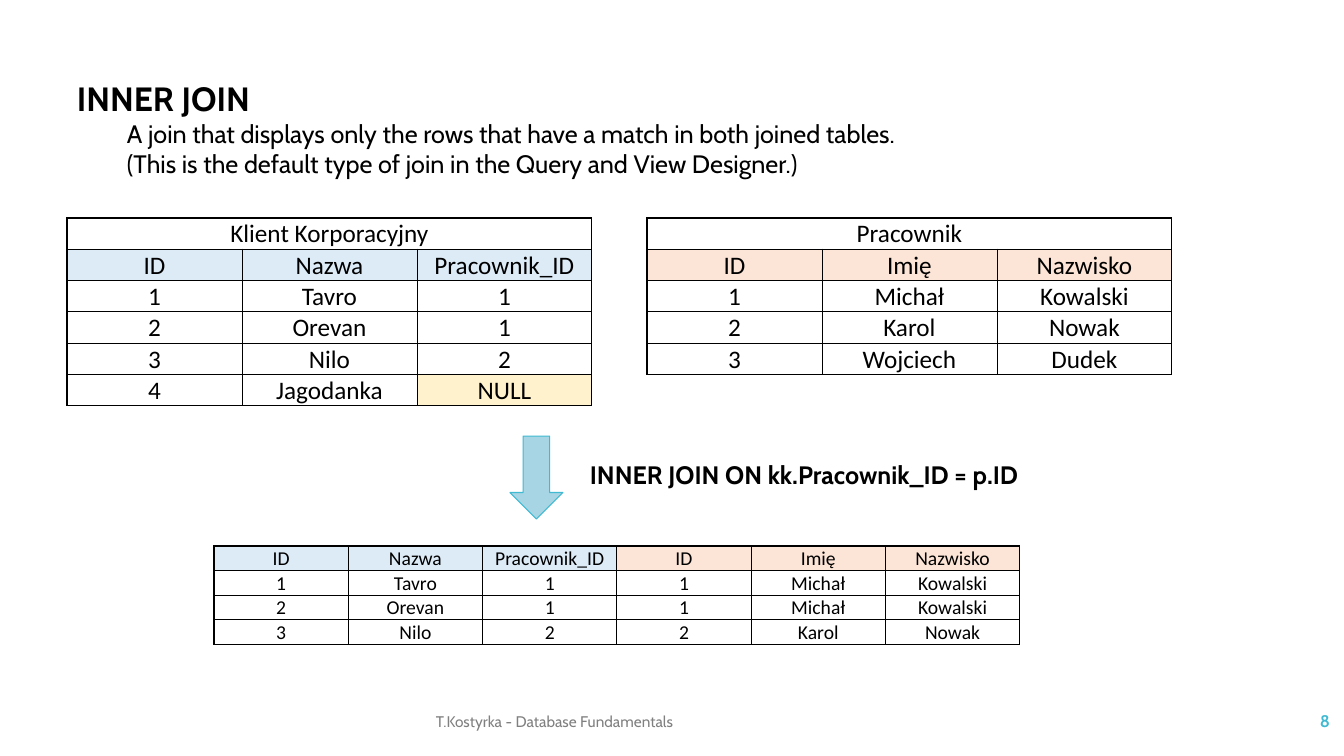
import dataclasses

import pptx
import pptx.dml.color
import pptx.enum.shapes
import pptx.enum.text
import pptx.oxml.ns
import pptx.util
from lxml import etree

ALIGN = pptx.enum.text.PP_ALIGN
ANCHOR = pptx.enum.text.MSO_ANCHOR
EMU_PER_PX = 914400 / 100.8
NO_STYLE = "{2D5ABB26-0587-4C30-8999-92F81FD0307C}"


@dataclasses.dataclass(frozen=True)
class Theme:
    text_font: str = "Cabin"
    table_font: str = "Calibri"
    ink: str = "000000"
    muted: str = "808080"
    accent: str = "40BAD2"
    arrow: str = "A7D5E3"
    client: str = "DDEBF7"
    employee: str = "FCE4D6"
    missing: str = "FFF2CC"
    title: int = 24
    body: int = 18
    result: int = 14
    page: int = 12
    footer: int = 11
    heavy: float = 1
    thin: float = 0.5


THEME = Theme()


def px(length):
    return pptx.util.Emu(round(length * EMU_PER_PX))


def rgb(value):
    return pptx.dml.color.RGBColor.from_string(value)


def style_font(paragraph, name, size, color, bold=False):
    font = paragraph.font
    font.name = name
    font.size = pptx.util.Pt(size)
    font.color.rgb = rgb(color)
    font.bold = bold


def add_text(slide, box, lines, color=THEME.ink, anchor=ANCHOR.TOP):
    """Each line is (text, size, bold, alignment, indent in px)."""
    frame = slide.shapes.add_textbox(*map(px, box)).text_frame
    frame.word_wrap = True
    frame.vertical_anchor = anchor
    for index, (text, size, bold, alignment, indent) in enumerate(lines):
        paragraph = frame.add_paragraph() if index else frame.paragraphs[0]
        paragraph.text = text
        paragraph.alignment = alignment
        if indent:
            paragraph.level = 1
            properties = paragraph._p.get_or_add_pPr()
            properties.set("marL", str(px(indent)))
            properties.set("indent", "0")
        style_font(paragraph, THEME.text_font, size, color, bold)


def add_border(cell, side, width):
    qn = pptx.oxml.ns.qn
    line = etree.SubElement(cell._tc.get_or_add_tcPr(), qn(f"a:ln{side}"),
                            w=str(pptx.util.Pt(width)))
    fill = etree.SubElement(line, qn("a:solidFill"))
    etree.SubElement(fill, qn("a:srgbClr"), val=THEME.ink)


def style_cell(cell, text, size, fill):
    cell.text = text
    cell.vertical_anchor = ANCHOR.BOTTOM
    cell.margin_left = cell.margin_right = cell.margin_top = px(1)
    cell.margin_bottom = 0
    paragraph = cell.text_frame.paragraphs[0]
    paragraph.alignment = ALIGN.CENTER
    style_font(paragraph, THEME.table_font, size, THEME.ink)
    if fill:
        cell.fill.solid()
        cell.fill.fore_color.rgb = rgb(fill)
    else:
        cell.fill.background()


def add_grid(slide, left, top, width, row_height, size, header, header_fills, rows,
             title=None):
    contents = ([[title] + [""] * (len(header) - 1)] if title else []) + [header] + rows
    header_row = 1 if title else 0
    count = len(contents)
    frame = slide.shapes.add_table(count, len(header), px(left), px(top),
                                   px(width), px(row_height * count))
    for style in frame._element.iter(pptx.oxml.ns.qn("a:tableStyleId")):
        style.text = NO_STYLE
    table = frame.table
    for row in table.rows:
        row.height = px(row_height)
    for column in table.columns:
        column.width = px(width / len(header))
    if title:
        table.cell(0, 0).merge(table.cell(0, len(header) - 1))

    # Heavy lines frame the table, the heading rows and each source's three columns
    heavy_rows = {0, header_row, header_row + 1, count}
    for r, values in enumerate(contents):
        for c, text in enumerate(values):
            cell = table.cell(r, c)
            if cell.is_spanned:
                continue
            right = c + (cell.span_width if cell.is_merge_origin else 1)
            for side, heavy in (("L", c % 3 == 0), ("R", right % 3 == 0),
                                ("T", r in heavy_rows), ("B", r + 1 in heavy_rows)):
                add_border(cell, side, THEME.heavy if heavy else THEME.thin)
            fill = header_fills[c] if r == header_row else None
            style_cell(cell, text, size, THEME.missing if text == "NULL" else fill)


def add_down_arrow(slide, box):
    arrow = slide.shapes.add_shape(pptx.enum.shapes.MSO_SHAPE.DOWN_ARROW, *map(px, box))
    arrow.shadow.inherit = False
    arrow.fill.solid()
    arrow.fill.fore_color.rgb = rgb(THEME.arrow)
    arrow.line.color.rgb = rgb(THEME.accent)
    arrow.line.width = pptx.util.Pt(0.75)


def main():
    deck = pptx.Presentation()
    deck.slide_width, deck.slide_height = px(1344), px(756)
    slide = deck.slides.add_slide(deck.slide_layouts[6])

    # Heading and definition
    add_text(slide, (67, 73, 1102, 112), [
        ("INNER JOIN", THEME.title, True, ALIGN.JUSTIFY, 0),
        ("A join that displays only the rows that have a match in both joined tables.",
         THEME.body, False, ALIGN.LEFT, 50),
        ("(This is the default type of join in the Query and View Designer.)",
         THEME.body, False, ALIGN.LEFT, 50),
    ])

    # Page number and footer
    add_text(slide, (1172, 701, 168, 40), [("8", THEME.page, True, ALIGN.RIGHT, 0)],
             THEME.accent, ANCHOR.MIDDLE)
    add_text(slide, (426, 701, 651, 40),
             [("T.Kostyrka - Database Fundamentals", THEME.footer, False, ALIGN.LEFT, 0)],
             THEME.muted, ANCHOR.MIDDLE)

    # Source tables
    client_header = ["ID", "Nazwa", "Pracownik_ID"]
    employee_header = ["ID", "Imię", "Nazwisko"]
    clients = [["1", "Tavro", "1"], ["2", "Orevan", "1"],
               ["3", "Nilo", "2"], ["4", "Jagodanka", "NULL"]]
    employees = [["1", "Michał", "Kowalski"], ["2", "Karol", "Nowak"],
                 ["3", "Wojciech", "Dudek"]]
    client_fills, employee_fills = [THEME.client] * 3, [THEME.employee] * 3
    add_grid(slide, 67, 218, 525, 31, THEME.body, client_header, client_fills,
             clients, "Klient Korporacyjny")
    add_grid(slide, 647, 218, 525, 31, THEME.body, employee_header, employee_fills,
             employees, "Pracownik")

    # Joined table
    joined = [client + employee for client in clients for employee in employees
              if client[2] == employee[0]]
    add_grid(slide, 214, 546, 806, 24, THEME.result, client_header + employee_header,
             client_fills + employee_fills, joined)

    # Join step
    add_down_arrow(slide, (510, 436, 53, 83))
    add_text(slide, (580, 454, 589, 40),
             [("INNER JOIN ON kk.Pracownik_ID = p.ID", THEME.body, True, ALIGN.LEFT, 0)])

    deck.save("out.pptx")


if __name__ == "__main__":
    main()
